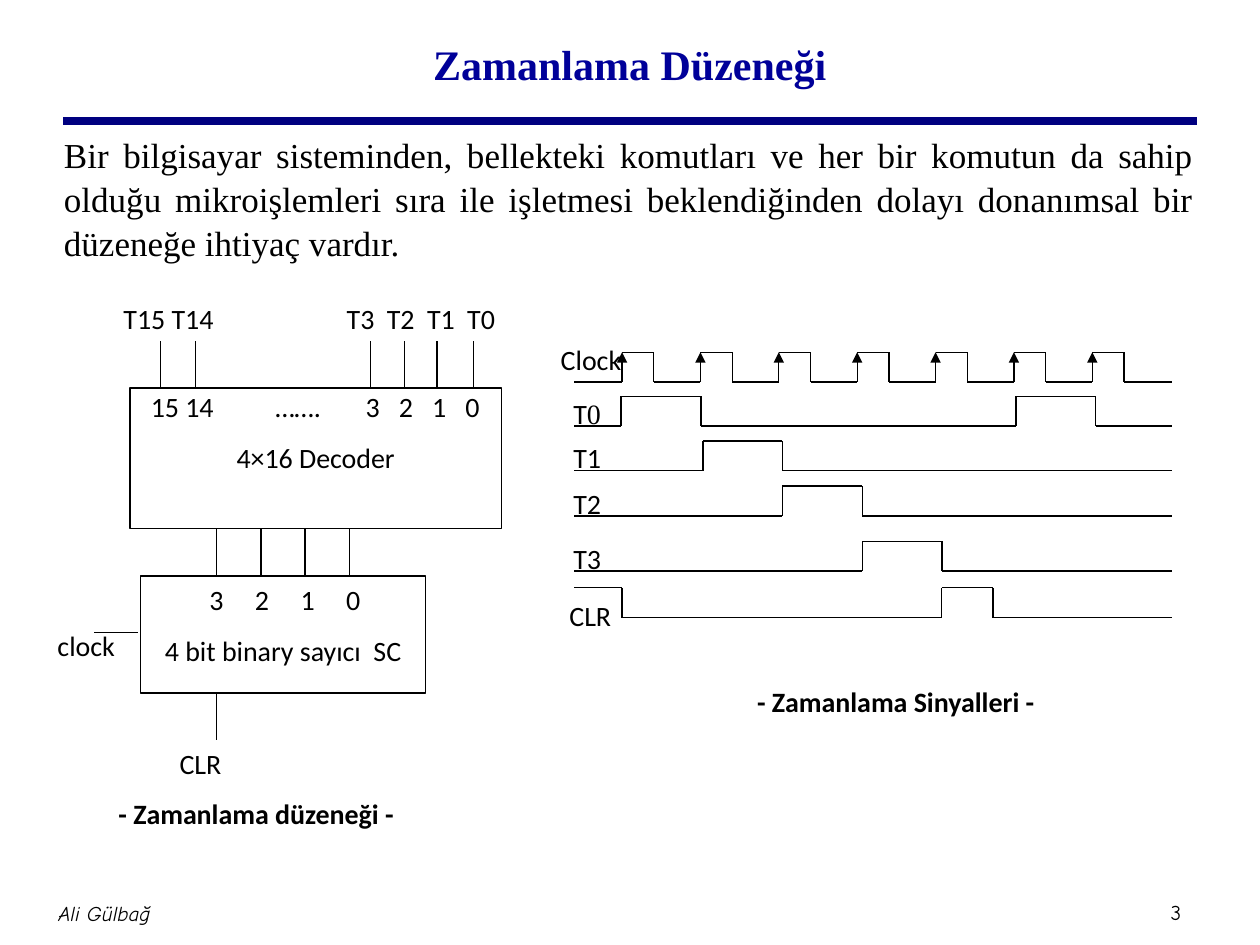
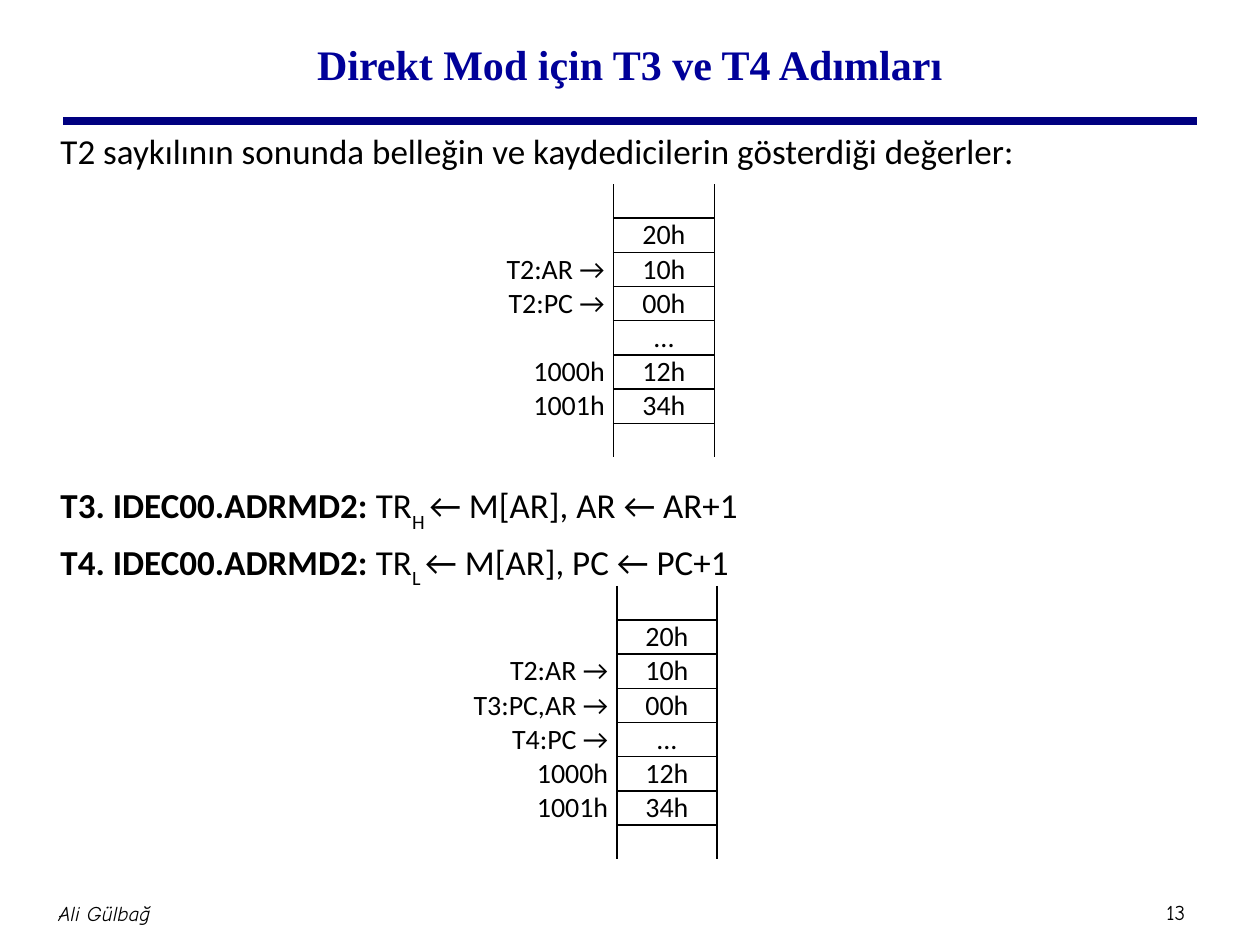
from dataclasses import dataclass

from lxml import etree
from pptx import Presentation
from pptx.dml.color import RGBColor
from pptx.enum.shapes import MSO_CONNECTOR, MSO_SHAPE
from pptx.enum.text import MSO_ANCHOR, PP_ALIGN
from pptx.oxml.ns import qn
from pptx.util import Cm, Pt

LEFT, CENTER, RIGHT, JUSTIFY = PP_ALIGN.LEFT, PP_ALIGN.CENTER, PP_ALIGN.RIGHT, PP_ALIGN.JUSTIFY
TOP, MIDDLE = MSO_ANCHOR.TOP, MSO_ANCHOR.MIDDLE
STRAIGHT = MSO_CONNECTOR.STRAIGHT
RECTANGLE = MSO_SHAPE.RECTANGLE


@dataclass(frozen=True)
class Theme:
    ink: RGBColor = RGBColor(0, 0, 0)
    paper: RGBColor = RGBColor(255, 255, 255)
    title: RGBColor = RGBColor(0, 0, 0x99)
    rule: RGBColor = RGBColor(0, 0, 0x80)
    serif: str = "Times New Roman"
    sans: str = "Calibri"
    footer_font: str = "Comic Neue"
    title_size: int = 24
    body_size: int = 20
    label_size: int = 16
    footer_size: int = 12
    rule_width: float = 4.5
    line_width: float = 0.75
    border_width: int = 1


THEME = Theme()
DEFAULT_INSETS = (0.25, 0.13)
FOOTER_INSETS = (0.13, 0.13)
NO_INSETS = (0, 0)

WAVE_START, WAVE_END, WAVE_HEIGHT = 11.58, 23.62, 0.6
CLOCK_FIRST, CLOCK_PERIOD, CLOCK_HIGH, CLOCK_LOW = 12.54, 1.58, 0.64, 7.7
CLR_LOW = 12.45
ROW_HEIGHT = 0.69
MEMORY = ["", "20h", "10h", "00h", "...", "12h", "34h", ""]


def add_span(para, text, size=THEME.label_size, font=THEME.sans, color=THEME.ink,
             bold=False, italic=False, baseline=0):
    span = para.add_run()
    span.text = text
    span.font.size = Pt(size)
    span.font.name = font
    span.font.color.rgb = color
    span.font.bold = bold
    span.font.italic = italic
    if baseline:
        span.font._element.set("baseline", str(baseline * 1000))


def set_frame(frame, insets, anchor):
    frame.word_wrap = True
    frame.vertical_anchor = anchor
    frame.margin_left = frame.margin_right = Cm(insets[0])
    frame.margin_top = frame.margin_bottom = Cm(insets[1])


def add_box(shapes, place, insets=DEFAULT_INSETS, anchor=TOP, align=LEFT):
    box = shapes.add_textbox(*map(Cm, place))
    set_frame(box.text_frame, insets, anchor)
    para = box.text_frame.paragraphs[0]
    para.alignment = align
    return para


def add_tabs(para, stops):
    properties = para._p.get_or_add_pPr()
    tabs = etree.SubElement(properties, qn("a:tabLst"))
    for stop in stops:
        etree.SubElement(tabs, qn("a:tab"), pos=str(Cm(stop)), algn="l")


def add_line(shapes, start, end, color=THEME.ink, width=THEME.line_width, arrow=False):
    line = shapes.add_connector(STRAIGHT, *map(Cm, (*start, *end)))
    line.line.color.rgb = color
    line.line.width = Pt(width)
    properties = line._element.spPr
    if arrow:
        etree.SubElement(properties.find(qn("a:ln")), qn("a:tailEnd"), type="triangle")
    etree.SubElement(properties, qn("a:effectLst"))


def add_block(shapes, place, pins, stops, name, insets=DEFAULT_INSETS):
    block = shapes.add_shape(RECTANGLE, *map(Cm, place))
    block.shadow.inherit = False
    block.fill.solid()
    block.fill.fore_color.rgb = THEME.paper
    block.line.color.rgb = THEME.ink
    block.line.width = Pt(THEME.line_width)
    frame = block.text_frame
    set_frame(frame, insets, TOP)
    pin_para, name_para = frame.paragraphs[0], frame.add_paragraph()
    for para, text, align in ((pin_para, pins, LEFT), (name_para, name, CENTER)):
        para.alignment = align
        para.space_after = Pt(10)
        add_span(para, text)
    add_tabs(pin_para, stops)


def add_page(deck, title, number):
    page = deck.slides.add_slide(deck.slide_layouts[6])
    shapes = page.shapes
    add_line(shapes, (1.27, 2.44), (24.13, 2.44), THEME.rule, THEME.rule_width)
    para = add_box(shapes, (23.11, 18.01, 1.19, 0.76), FOOTER_INSETS, MIDDLE, CENTER)
    add_span(para, str(number), THEME.footer_size, THEME.footer_font)
    para = add_box(shapes, (0, 17.78, 4.21, 1.27), FOOTER_INSETS, MIDDLE, CENTER)
    add_span(para, "Ali Gülbağ", THEME.footer_size, THEME.footer_font, italic=True)
    para = add_box(shapes, (1.9, 0.2, 21.59, 2.18), anchor=MIDDLE, align=CENTER)
    add_span(para, title, THEME.title_size, THEME.serif, THEME.title, bold=True)
    return page


def add_caption(shapes, place, text):
    add_span(add_box(shapes, place, anchor=MIDDLE, align=CENTER), text, bold=True)


def steps(first, gap, count):
    return [first + gap * index for index in range(count)]


def draw_decoder(shapes):
    add_block(shapes, (2.62, 7.82, 7.49, 2.84), "\t15 14\t…….\t3\t2\t1\t0",
              [0.27, 2.78, *steps(4.6, 0.67, 4)], "4×16 Decoder", (0.15, 0.03))
    add_block(shapes, (2.84, 11.61, 5.74, 2.36), "\t3\t2\t1\t0",
              steps(1.13, 0.92, 4), "4 bit binary sayıcı  SC")
    for x in steps(4.37, 0.89, 4):
        add_line(shapes, (x, 10.66), (x, 11.61))
    for x in (3.23, 3.94, 7.47, 8.15, 8.81, 9.55):
        add_line(shapes, (x, 7.82), (x, 6.88))
    add_line(shapes, (4.37, 13.97), (4.37, 14.91))
    add_line(shapes, (1.9, 12.75), (2.79, 12.75))
    para = add_box(shapes, (2.24, 5.94, 8.74, 1.42))
    add_span(para, "T15 T14\tT3\tT2\tT1\tT0")
    add_tabs(para, steps(4.5, 0.81, 4))
    add_span(add_box(shapes, (3.37, 14.91, 2, 0.94)), "CLR")
    add_span(add_box(shapes, (0.91, 12.55, 3.53, 0.94)), "clock")


def pulse_points(pulses, low, start=WAVE_START):
    high = low - WAVE_HEIGHT
    points = [(start, low)]
    for rise, fall in pulses:
        points += [(rise, low), (rise, high), (fall, high), (fall, low)]
    return points + [(WAVE_END, low)]


def draw_wave(shapes, points, rising_arrows=False):
    for start, end in zip(points, points[1:]):
        add_line(shapes, start, end, arrow=rising_arrows and end[1] < start[1])


def draw_signals(shapes):
    rises = steps(CLOCK_FIRST, CLOCK_PERIOD, 7)
    clock = [(rise, rise + CLOCK_HIGH) for rise in rises]
    draw_wave(shapes, pulse_points(clock, CLOCK_LOW), rising_arrows=True)
    add_span(add_box(shapes, (11.28, 6.91, 1.27, 1.02), NO_INSETS, align=CENTER), "Clock")

    signals = [
        ("0", THEME.serif, 8.59, [(12.52, 14.13), (20.48, 22.09)]),
        ("1", THEME.sans, 9.49, [(14.17, 15.77)]),
        ("2", THEME.sans, 10.4, [(15.77, 17.38)]),
        ("3", THEME.sans, 11.51, [(17.38, 18.99)]),
    ]
    for digit, font, low, pulses in signals:
        draw_wave(shapes, pulse_points(pulses, low))
        para = add_box(shapes, (11.56, low - WAVE_HEIGHT, 1.27, 0.6), NO_INSETS)
        add_span(para, "T")
        add_span(para, digit, font=font)

    high = CLR_LOW - WAVE_HEIGHT
    reset = pulse_points([(18.98, 20.02)], CLR_LOW, CLOCK_FIRST)
    draw_wave(shapes, [(WAVE_START, high), (CLOCK_FIRST, high), *reset])
    add_span(add_box(shapes, (11.48, 12.07, 0.94, 0.6), NO_INSETS), "CLR")


def set_borders(cell, sides):
    properties = cell._tc.get_or_add_tcPr()
    for index, side in enumerate("LRTB"):
        border = etree.Element(qn("a:ln" + side), w=str(Pt(THEME.border_width)))
        if side in sides:
            fill = etree.SubElement(border, qn("a:solidFill"))
            etree.SubElement(fill, qn("a:srgbClr"), val=str(THEME.ink))
        else:
            etree.SubElement(border, qn("a:noFill"))
        properties.insert(index, border)


def fill_cell(cell, text, align, sides):
    cell.fill.background()
    cell.margin_left = cell.margin_right = Cm(0.18)
    cell.margin_top = cell.margin_bottom = 0
    para = cell.text_frame.paragraphs[0]
    para.alignment = align
    if text:
        add_span(para, text)
    else:
        etree.SubElement(para._p, qn("a:endParaRPr"), sz=str(THEME.label_size * 100))
    set_borders(cell, sides)


def add_memory(shapes, left, top, widths, labels):
    count = len(MEMORY)
    frame = shapes.add_table(count, 2, Cm(left), Cm(top), Cm(sum(widths)), Cm(ROW_HEIGHT * count))
    table = frame.table
    table.first_row = table.horz_banding = False
    for column, width in zip(table.columns, widths):
        column.width = Cm(width)
    for index, (label, value) in enumerate(zip(labels, MEMORY)):
        table.rows[index].height = Cm(ROW_HEIGHT)
        sides = "LR" + ("T" if index > 0 else "") + ("B" if index < count - 1 else "")
        fill_cell(table.cell(index, 0), label, RIGHT, "R")
        fill_cell(table.cell(index, 1), value, CENTER, sides)


def add_micro_operation(para, step, half, target):
    add_span(para, f"{step}. IDEC00.ADRMD2:", THEME.body_size, bold=True)
    add_span(para, " TR", THEME.body_size)
    add_span(para, f"{half} ", THEME.body_size, baseline=-30)
    add_span(para, f"← M[AR], {target} ← {target}+1", THEME.body_size)


def build_timing_page(deck):
    shapes = add_page(deck, "Zamanlama Düzeneği", 3).shapes
    para = add_box(shapes, (1.04, 2.51, 23.27, 3.07), align=JUSTIFY)
    para.line_spacing = 1.05
    add_span(para, "Bir bilgisayar sisteminden, bellekteki komutları ve her bir komutun da "
             "sahip olduğu mikroişlemleri sıra ile işletmesi beklendiğinden dolayı "
             "donanımsal bir düzeneğe ihtiyaç vardır.", THEME.body_size, THEME.serif)
    draw_decoder(shapes.add_group_shape().shapes)
    draw_signals(shapes.add_group_shape().shapes)
    add_caption(shapes, (0.86, 15.93, 8.61, 0.94), "- Zamanlama düzeneği -")
    add_caption(shapes, (12.6, 13.67, 10.92, 0.94), "- Zamanlama Sinyalleri -")


def build_direct_mode_page(deck):
    shapes = add_page(deck, "Direkt Mod için T3 ve T4 Adımları", 13).shapes
    para = add_box(shapes, (0.97, 2.49, 23.11, 1.1), align=JUSTIFY)
    add_span(para, "T2 saykılının sonunda belleğin ve kaydedicilerin gösterdiği değerler:",
             THEME.body_size)
    box = shapes.add_textbox(Cm(0.97), Cm(9.62), Cm(23.11), Cm(2.2))
    frame = box.text_frame
    set_frame(frame, DEFAULT_INSETS, TOP)
    add_micro_operation(frame.paragraphs[0], "T3", "H", "AR")
    second = frame.add_paragraph()
    second.space_before = Pt(4)
    add_micro_operation(second, "T4", "L", "PC")
    addresses = ["1000h", "1001h", ""]
    add_memory(shapes, 9.27, 3.71, (3.1, 2.03),
               ["", "", "T2:AR →", "T2:PC →", "", *addresses])
    add_memory(shapes, 8.48, 11.81, (3.96, 2.01),
               ["", "", "T2:AR →", "T3:PC,AR →", "T4:PC →", *addresses])


def main():
    deck = Presentation()
    deck.slide_width, deck.slide_height = Cm(25.4), Cm(19.05)
    build_timing_page(deck)
    build_direct_mode_page(deck)
    deck.save("out.pptx")


main()
